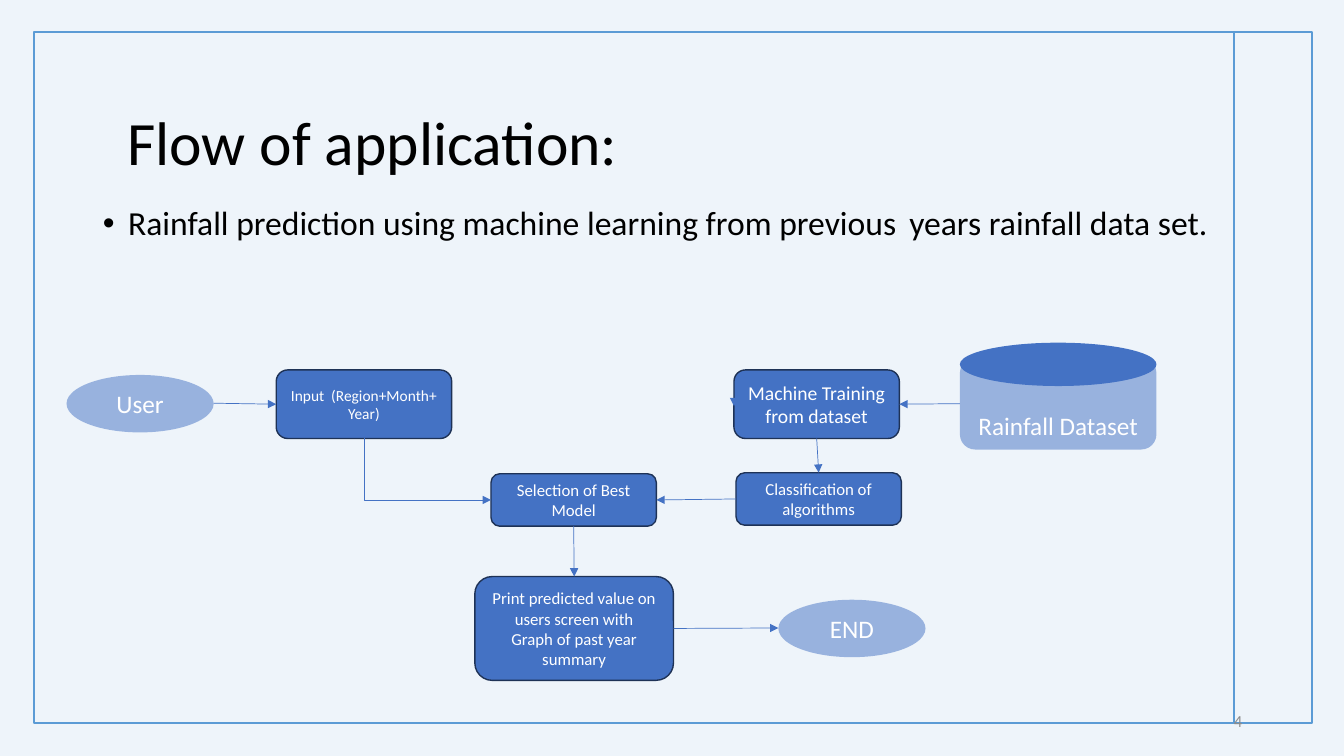
import pptx
import pptx.dml.color
import pptx.enum.shapes
import pptx.enum.text
import pptx.oxml
import pptx.oxml.ns
import pptx.util

Inches = pptx.util.Inches
Pt = pptx.util.Pt
qn = pptx.oxml.ns.qn
SHAPE = pptx.enum.shapes.MSO_SHAPE
CONNECTOR = pptx.enum.shapes.MSO_CONNECTOR
ALIGN = pptx.enum.text.PP_ALIGN
ANCHOR = pptx.enum.text.MSO_ANCHOR

COLOURS = {"frame": "5B9BD5", "flow": "4472C4", "edge": "1E3256",
           "text": "000000", "light": "FFFFFF", "number": "8C8C8C"}
FONT = "Calibri"
TOP, LEFT, BOTTOM, RIGHT = range(4)


def colour(name):
    return pptx.dml.color.RGBColor.from_string(COLOURS[name])


def write(frame, lines, size, ink, align, anchor=ANCHOR.MIDDLE, spacing=None):
    frame.word_wrap = True
    frame.auto_size = pptx.enum.text.MSO_AUTO_SIZE.NONE
    frame.vertical_anchor = anchor
    for index, line in enumerate(lines):
        para = frame.paragraphs[0] if index == 0 else frame.add_paragraph()
        para.alignment = align
        para.space_before = Pt(0)
        para.line_spacing = spacing
        span = para.add_run()
        span.text = line
        span.font.name = FONT
        span.font.size = Pt(size)
        span.font.color.rgb = colour(ink)


def place(item, box):
    item.left, item.top, item.width, item.height = map(Inches, box)


def add_box(page, kind, box, fill=None, line=None, width=1, alpha=None):
    item = page.shapes.add_shape(kind, *map(Inches, box))
    item.shadow.inherit = False
    if fill:
        item.fill.solid()
        item.fill.fore_color.rgb = colour(fill)
        if alpha:
            tint = item.fill._xPr.find(".//" + qn("a:srgbClr"))
            tint.append(pptx.oxml.parse_xml(
                f'<a:alpha {pptx.oxml.ns.nsdecls("a")} val="{alpha * 1000}"/>'))
    else:
        item.fill.background()
    if line:
        item.line.color.rgb = colour(line)
        item.line.width = Pt(width)
    else:
        item.line.fill.background()
    return item


def add_line(page, start, end, ink, width, kind=CONNECTOR.STRAIGHT, arrow=False):
    item = page.shapes.add_connector(kind, *map(Inches, (*start, *end)))
    item.line.color.rgb = colour(ink)
    item.line.width = Pt(width)
    if arrow:
        item.line._get_or_add_ln().append(pptx.oxml.parse_xml(
            f'<a:tailEnd {pptx.oxml.ns.nsdecls("a")} type="triangle"/>'))
    item._element.spPr.append(pptx.oxml.parse_xml(
        f'<a:effectLst {pptx.oxml.ns.nsdecls("a")}/>'))
    return item


def add_frame(page, box, divider):
    """Tinted page, border and right-hand rule, all behind the content."""
    left, top, width, height = box
    tint = add_box(page, SHAPE.RECTANGLE, (0, 0, 13.33, 7.5), "frame", alpha=10)
    rule = add_line(page, (divider, top), (divider, top + height), "frame", 1.25)
    border = add_box(page, SHAPE.RECTANGLE, box, line="frame", width=1.25)
    for depth, item in enumerate((tint, rule, border), start=2):
        page.shapes._spTree.insert(depth, item._element)


def add_heading(page, title_box, body_box, number_box):
    title, body = page.shapes.title, page.placeholders[1]
    place(title, title_box)
    write(title.text_frame, ["Flow of application:"], 44, "text", ALIGN.LEFT, spacing=0.9)

    place(body, body_box)
    write(body.text_frame,
          ["Rainfall prediction using machine learning from previous \tyears rainfall data set."],
          24, "text", ALIGN.LEFT, ANCHOR.TOP, 0.9)
    properties = body.text_frame.paragraphs[0]._p.get_or_add_pPr()
    properties.set("marL", str(Inches(0.25)))
    properties.set("indent", str(-Inches(0.25)))

    number = page.shapes.add_textbox(*map(Inches, number_box))
    write(number.text_frame, ["4"], 12, "number", ALIGN.RIGHT)


def add_terminal(page, box, label):
    item = add_box(page, SHAPE.OVAL, box, "flow", alpha=50)
    write(item.text_frame, [label], 18, "light", ALIGN.CENTER)


def add_step(page, box, lines, size):
    item = add_box(page, SHAPE.ROUNDED_RECTANGLE, box, "flow", "edge")
    write(item.text_frame, lines, size, "light", ALIGN.CENTER)
    return item


def add_dataset(page, box):
    """Drum: an oval lid behind a translucent body."""
    left, top, width, height = box
    add_box(page, SHAPE.OVAL, (left, top, width, 0.43), "flow")
    drum = add_box(page, SHAPE.ROUNDED_RECTANGLE,
                   (left, top + 0.15, width, height - 0.15), "flow", alpha=50)
    write(drum.text_frame, ["Rainfall Dataset"], 18, "light", ALIGN.CENTER, ANCHOR.BOTTOM)
    return drum


def add_arrow(page, start, end, source=None, target=None):
    """Arrow; source and target are (shape, side) pairs to join."""
    item = add_line(page, start, end, "flow", 0.5, arrow=True)
    if source:
        item.begin_connect(*source)
    if target:
        item.end_connect(*target)


def add_corner_arrow(page, start, end, source, target):
    """Arrow that runs down from start, then right to end."""
    item = add_line(page, start, end, "flow", 0.5, CONNECTOR.ELBOW, True)
    item.begin_connect(*source)
    item.end_connect(*target)
    across, down = end[0] - start[0], end[1] - start[1]
    middle_x, middle_y = start[0] + across / 2, start[1] + down / 2
    place(item, (middle_x - down / 2, middle_y - across / 2, down, across))
    properties = item._element.spPr
    properties.find(qn("a:prstGeom")).set("prst", "bentConnector2")
    turn = properties.find(qn("a:xfrm"))
    turn.set("rot", str(270 * 60000))
    turn.set("flipH", "1")


def add_flow(page, box):
    left, top = box[:2]

    def at(x, y, *size):
        return (left + x, top + y, *size)

    # Steps
    add_terminal(page, at(0, 0.32, 1.46, 0.57), "User")
    entry = add_step(page, at(2.08, 0.27, 1.74, 0.68), ["Input  (Region+Month+ Year)"], 11)
    training = add_step(page, at(6.62, 0.27, 1.64, 0.68), ["Machine Training from dataset"], 14)
    classes = add_step(page, at(6.64, 1.29, 1.64, 0.52), ["Classification of algorithms"], 12)
    dataset = add_dataset(page, at(8.86, 0, 1.95, 1.06))
    model = add_step(page, at(4.21, 1.3, 1.64, 0.52), ["Selection of Best Model"], 12)
    output = add_step(page, at(4.05, 2.32, 1.97, 1.03),
                      ["Print predicted value on users screen with",
                       "Graph of past year summary"], 12)
    add_terminal(page, at(7.06, 2.55, 1.46, 0.57), "END")

    # Arrows
    add_arrow(page, at(1.46, 0.6), at(2.08, 0.61), target=(entry, LEFT))
    add_arrow(page, at(6.62, 0.61), at(6.62, 0.63), source=(training, LEFT))
    add_corner_arrow(page, at(2.95, 0.95), at(4.21, 1.56), (entry, BOTTOM), (model, LEFT))
    add_arrow(page, at(7.44, 0.95), at(7.46, 1.29), (training, BOTTOM), (classes, TOP))
    add_arrow(page, at(8.86, 0.6), at(8.26, 0.61), (dataset, LEFT), (training, RIGHT))
    add_arrow(page, at(5.03, 1.82), at(5.04, 2.32), (model, BOTTOM), (output, TOP))
    add_arrow(page, at(6.02, 2.83), at(7.06, 2.83), source=(output, RIGHT))
    add_arrow(page, at(6.64, 1.55), at(5.85, 1.56), (classes, LEFT), (model, RIGHT))


def main():
    deck = pptx.Presentation()
    deck.slide_width, deck.slide_height = Inches(13.33), Inches(7.5)
    page = deck.slides.add_slide(deck.slide_layouts[1])
    add_frame(page, (0.34, 0.32, 12.67, 6.85), divider=12.24)
    add_heading(page, (1.16, 0.56, 11.4, 1.76), (0.92, 2, 11.5, 4.76), (9.42, 6.95, 3, 0.4))
    add_flow(page, (0.66, 3.4, 10.81, 3.35))
    deck.save("out.pptx")


if __name__ == "__main__":
    main()
